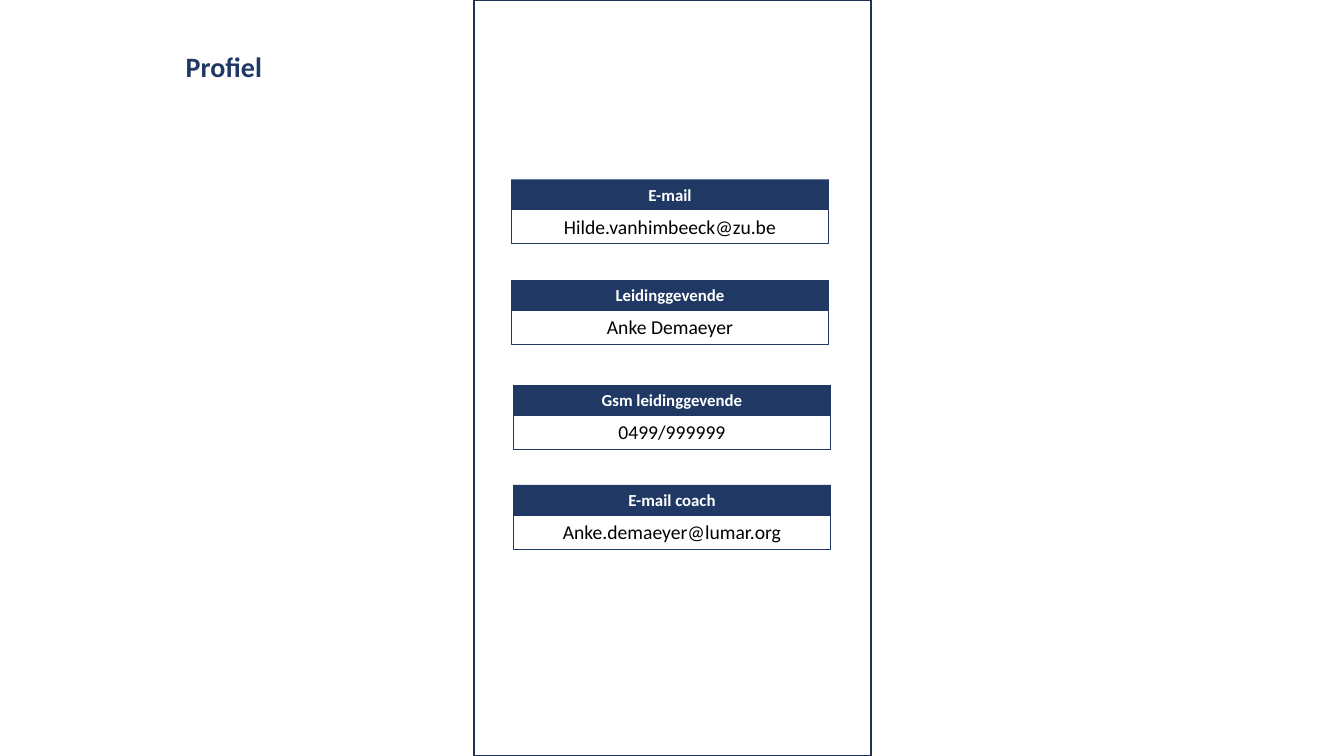
"""Build the profile slide with its four contact cards."""
from dataclasses import dataclass

import pptx
import pptx.dml.color
import pptx.enum.shapes
import pptx.enum.text
import pptx.shapes.autoshape
import pptx.shapes.group
import pptx.slide
import pptx.util

Inches = pptx.util.Inches
Pt = pptx.util.Pt
RGBColor = pptx.dml.color.RGBColor

NAVY = RGBColor(0x20, 0x38, 0x64)
PANEL_NAVY = RGBColor(0x1E, 0x32, 0x56)
WHITE = RGBColor(0xFF, 0xFF, 0xFF)
BLACK = RGBColor(0x00, 0x00, 0x00)

CARD_WIDTH = 3.15
LABEL_HEIGHT = 0.3
VALUE_HEIGHT = 0.34

TITLE_FONT = {"name": "Calibri", "size": Pt(20), "bold": True}
LABEL_FONT = {"name": "Calibri", "size": Pt(12), "bold": True}
VALUE_FONT = {"name": "Calibri", "size": Pt(14), "bold": False}
FRAME_FORMAT = {
    "word_wrap": True,
    "vertical_anchor": pptx.enum.text.MSO_ANCHOR.TOP,
    "auto_size": pptx.enum.text.MSO_AUTO_SIZE.SHAPE_TO_FIT_TEXT,
    "margin_left": Inches(0.1),
    "margin_right": Inches(0.1),
    "margin_top": Inches(0.05),
    "margin_bottom": Inches(0.05),
}


@dataclass(frozen=True)
class Card:
    label: str
    value: str
    left: float
    top: float


CARDS = [
    Card("E-mail", "Hilde.vanhimbeeck@zu.be", 5.07, 1.78),
    Card("Leidinggevende", "Anke Demaeyer", 5.07, 2.78),
    Card("Gsm leidinggevende", "0499/999999", 5.09, 3.82),
    Card("E-mail coach", "Anke.demaeyer@lumar.org", 5.09, 4.81),
]


def write(frame: pptx.text.text.TextFrame, words: str, font_format: dict,
          color: RGBColor) -> None:
    for attribute, setting in FRAME_FORMAT.items():
        setattr(frame, attribute, setting)
    paragraph = frame.paragraphs[0]
    paragraph.alignment = pptx.enum.text.PP_ALIGN.CENTER
    run = paragraph.add_run()
    run.text = words
    for attribute, setting in font_format.items():
        setattr(run.font, attribute, setting)
    run.font.color.rgb = color


def add_box(shapes: pptx.shapes.shapetree.SlideShapes | pptx.shapes.shapetree.GroupShapes,
            left: float, top: float, width: float,
            height: float) -> pptx.shapes.autoshape.Shape:
    box = shapes.add_shape(
        pptx.enum.shapes.MSO_SHAPE.RECTANGLE,
        Inches(left), Inches(top), Inches(width), Inches(height))
    box.shadow.inherit = False
    return box


def outline(box: pptx.shapes.autoshape.Shape, color: RGBColor, weight: float) -> None:
    box.fill.background()
    box.line.color.rgb = color
    box.line.width = Pt(weight)


def add_card(slide: pptx.slide.Slide, card: Card) -> None:
    group = slide.shapes.add_group_shape()
    label = add_box(group.shapes, card.left, card.top, CARD_WIDTH, LABEL_HEIGHT)
    label.fill.solid()
    label.fill.fore_color.rgb = NAVY
    label.line.fill.background()
    write(label.text_frame, card.label, LABEL_FONT, WHITE)

    value = add_box(group.shapes, card.left, card.top + LABEL_HEIGHT,
                    CARD_WIDTH, VALUE_HEIGHT)
    outline(value, NAVY, 0.75)
    write(value.text_frame, card.value, VALUE_FONT, BLACK)


def main() -> None:
    presentation = pptx.Presentation()
    presentation.slide_width = Inches(13.33)
    presentation.slide_height = Inches(7.5)
    slide = presentation.slides.add_slide(presentation.slide_layouts[5])

    title = slide.shapes.title
    title_place = {"left": 0.55, "top": 0.44, "width": 3.34, "height": 0.44}
    for attribute, length in title_place.items():
        setattr(title, attribute, Inches(length))
    write(title.text_frame, "Profiel", TITLE_FONT, NAVY)

    panel = add_box(slide.shapes, 4.7, 0, 3.94, 7.5)
    outline(panel, PANEL_NAVY, 1)
    for card in CARDS:
        add_card(slide, card)

    presentation.save("out.pptx")


if __name__ == "__main__":
    main()
